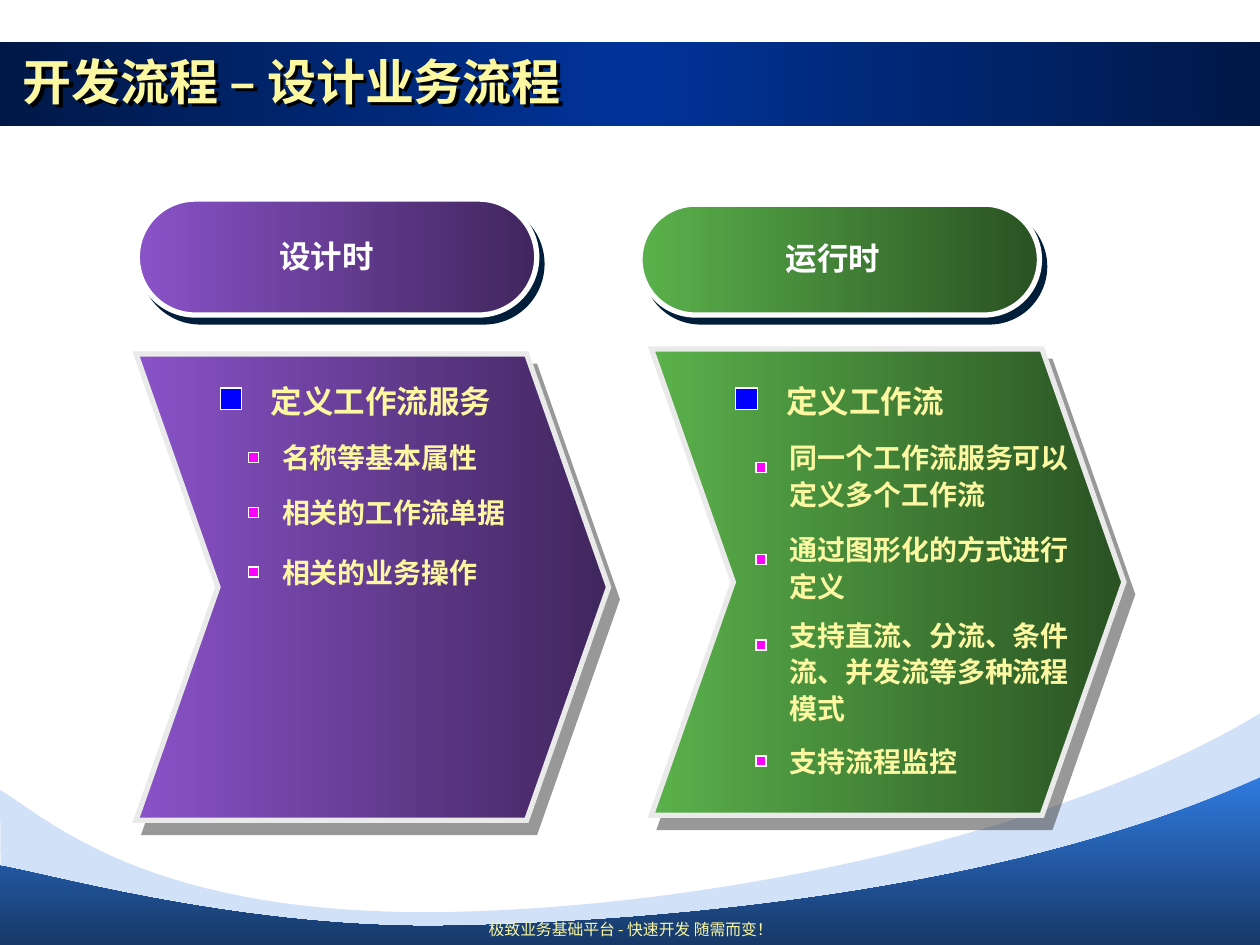
import pptx
import pptx.util
import pptx.dml.color
import pptx.enum.shapes
import pptx.enum.text
import pptx.oxml.ns
from lxml import etree

Inches = pptx.util.Inches
Pt = pptx.util.Pt
RGBColor = pptx.dml.color.RGBColor
qn = pptx.oxml.ns.qn
KIND = pptx.enum.shapes.MSO_SHAPE
ALIGN = pptx.enum.text.PP_ALIGN
FIT = pptx.enum.text.MSO_AUTO_SIZE
ANCHOR = pptx.enum.text.MSO_ANCHOR

NAVY = RGBColor(0x00, 0x18, 0x47)
ROYAL = RGBColor(0x00, 0x33, 0x99)
SKY = RGBColor(0x2F, 0x7A, 0xDF)
DEEP = RGBColor(0x16, 0x38, 0x67)
CREAM = RGBColor(0xFC, 0xF8, 0xA2)
WHITE = RGBColor(0xFF, 0xFF, 0xFF)
PALE = RGBColor(0xEA, 0xEA, 0xEA)
BLUE = RGBColor(0x00, 0x00, 0xFF)
PINK = RGBColor(0xFF, 0x00, 0xFF)
INK = RGBColor(0x00, 0x1D, 0x3A)
GRAY = RGBColor(0x33, 0x33, 0x33)
BLACK = RGBColor(0x00, 0x00, 0x00)
GREEN = [RGBColor(0x5A, 0xB1, 0x4B), RGBColor(0x2A, 0x52, 0x23)]
PURPLE = [RGBColor(0x8A, 0x52, 0xC8), RGBColor(0x40, 0x26, 0x5D)]
LATIN = "Arial"
HAN = "Noto Sans CJK SC"


def tint(node, color, alpha=100):
    clr = etree.SubElement(node, qn("a:srgbClr"), val=str(color))
    if alpha < 100:
        etree.SubElement(clr, qn("a:alpha"), val=str(alpha * 1000))


def shade(shape, color, alpha, dist, angle):
    shape.shadow.inherit = False
    node = shape._element.spPr.find(qn("a:effectLst"))
    drop = etree.SubElement(node, qn("a:outerShdw"), blurRad="0",
                            dist=str(Pt(dist)), dir=str(angle * 60000),
                            algn="ctr", rotWithShape="0")
    tint(drop, color, alpha)


def style(shape, colors, angle=0, alpha=100, line=None, width=3, shadow=None):
    props = shape._element.spPr
    if isinstance(colors, list):
        shape.fill.gradient()
        shape.fill.gradient_angle = angle
        stops = props.find(".//" + qn("a:gsLst"))
        stops.clear()
        for i, color in enumerate(colors):
            pos = i * 100000 // (len(colors) - 1)
            tint(etree.SubElement(stops, qn("a:gs"), pos=str(pos)), color)
    else:
        shape.fill.solid()
        fill = props.find(qn("a:solidFill"))
        fill.clear()
        tint(fill, colors, alpha)
    if line is None:
        shape.line.fill.background()
    else:
        shape.line.color.rgb = line
        shape.line.width = Pt(width)
        etree.SubElement(props.find(qn("a:ln")), qn("a:miter"), lim="800000")
    shape.shadow.inherit = False
    if shadow:
        shade(shape, *shadow)


def block(slide, kind, x, y, w, h, colors, **look):
    shape = slide.shapes.add_shape(kind, Inches(x), Inches(y), Inches(w), Inches(h))
    if kind == KIND.ROUNDED_RECTANGLE:
        shape.adjustments[0] = 0.5
    style(shape, colors, **look)


def outline(slide, points, colors, bends=(), **look):
    spots = [(Inches(x), Inches(y)) for x, y in points]
    form = slide.shapes.build_freeform(*spots[0])
    form.add_line_segments(spots[1:], close=True)
    shape = form.convert_to_shape()
    sides = shape._element.spPr.findall(".//" + qn("a:lnTo"))
    for side, pair in zip(sides[1:], bends):
        bend = etree.Element(qn("a:cubicBezTo"))
        for x, y in pair:
            etree.SubElement(bend, qn("a:pt"), x=str(Inches(x) - shape.left),
                             y=str(Inches(y) - shape.top))
        bend.append(side[0])
        side.getparent().replace(side, bend)
    style(shape, colors, **look)


def write(shape, text, size=16, color=CREAM, bold=True, font=LATIN,
          align=ALIGN.LEFT, space=None, fit=FIT.SHAPE_TO_FIT_TEXT):
    frame = shape.text_frame
    frame.word_wrap = True
    frame.auto_size = fit
    para = frame.paragraphs[0]
    para.alignment = align
    para.line_spacing = space
    for part, face in ([(text, font)] if isinstance(text, str) else text):
        run = para.add_run()
        run.text = part
        run.font.size = Pt(size)
        run.font.bold = bold
        run.font.color.rgb = color
        run.font.name = face
        etree.SubElement(run.font._element, qn("a:ea"), typeface=HAN)


def label(slide, text, x, y, w, h, **form):
    box = slide.shapes.add_textbox(Inches(x), Inches(y), Inches(w), Inches(h))
    write(box, text, **form)


def waves(slide):
    outline(slide, [(0.01, 7.51), (0, 6.27), (3.43, 7.24), (10.02, 5.65), (10.01, 7.51)],
            SKY, alpha=22,
            bends=[[(0.4, 6.51), (1.16, 7.25)], [(5.7, 7.22), (8.49, 6.59)]])
    outline(slide, [(0, 7.52), (-0.01, 6.87), (3.46, 7.35), (10, 6.17), (10, 7.52)],
            [SKY, DEEP], angle=270,
            bends=[[(0.36, 6.93), (1.86, 7.36)], [(5.06, 7.33), (7.97, 7.11)]])


def heading(slide):
    title = slide.shapes.title
    title.left, title.top = Inches(0.08), Inches(0.33)
    title.width, title.height = Inches(9), Inches(0.62)
    title.text_frame.vertical_anchor = ANCHOR.MIDDLE
    write(title, [("开发流程", LATIN), (" – ", HAN), ("设计业务流程", LATIN)],
          size=28, fit=FIT.NONE)
    title.fill.background()
    shade(title, BLACK, 100, 3, 45)
    slide.shapes._spTree.append(title._element)


def arrow(slide, x, y, colors):
    w, h, notch = 3.75, 3.7, 0.65
    edge = x + w - notch
    outline(slide, [(x, y), (edge, y), (x + w, y + h / 2), (edge, y + h),
                    (x, y + h), (x + notch, y + h / 2)],
            colors, line=PALE, shadow=(GRAY, 50, 8.6, 55))


def points(slide, x, head, left, items):
    block(slide, KIND.RECTANGLE, x + 0.67, 3.08, 0.17, 0.17, BLUE, line=WHITE, width=0.75)
    label(slide, head, x + 0.97, 2.83, 2.5, 0.55, size=18, space=1.5)
    for y, rows, text in items:
        drop = 0.25 if rows > 1 else 0.17
        block(slide, KIND.RECTANGLE, left - 0.17, y + drop, 0.08, 0.08, PINK,
              line=WHITE, width=0.75)
        label(slide, text, left, y, 2.61, 0.1 + 0.295 * rows, font=HAN, space=1.1)


def main():
    deck = pptx.Presentation()
    deck.slide_width, deck.slide_height = Inches(10), Inches(7.5)
    slide = deck.slides.add_slide(deck.slide_layouts[5])
    block(slide, KIND.RECTANGLE, 0, 0.33, 10, 0.67, [NAVY, ROYAL, NAVY])
    waves(slide)
    heading(slide)
    label(slide, [("极致业务基础平台 ", LATIN), ("- ", HAN), ("快速开发 随需而变！", LATIN)],
          3.42, 7.25, 3.17, 0.27, size=9, bold=False, align=ALIGN.CENTER, fit=FIT.NONE)

    pill = dict(line=WHITE, shadow=(INK, 100, 5, 53))
    name = dict(size=18, color=WHITE, align=ALIGN.CENTER)
    block(slide, KIND.ROUNDED_RECTANGLE, 5.08, 1.62, 3.17, 0.88, GREEN, **pill)
    label(slide, "运行时", 5.38, 1.85, 2.46, 0.4, **name)
    block(slide, KIND.ROUNDED_RECTANGLE, 1.09, 1.58, 3.17, 0.92, PURPLE, **pill)
    label(slide, "设计时", 0.88, 1.83, 3.42, 0.4, **name)

    arrow(slide, 1.08, 2.81, PURPLE)
    arrow(slide, 5.17, 2.77, GREEN)
    points(slide, 1.08, "定义工作流服务", 2.14, [
        (3.42, 1, "名称等基本属性"),
        (3.86, 1, "相关的工作流单据"),
        (4.33, 1, "相关的业务操作"),
    ])
    points(slide, 5.17, "定义工作流", 6.17, [
        (3.42, 2, "同一个工作流服务可以定义多个工作流"),
        (4.15, 2, "通过图形化的方式进行定义"),
        (4.83, 3, "支持直流、分流、条件流、并发流等多种流程模式"),
        (5.83, 1, "支持流程监控"),
    ])
    deck.save("out.pptx")


if __name__ == "__main__":
    main()
